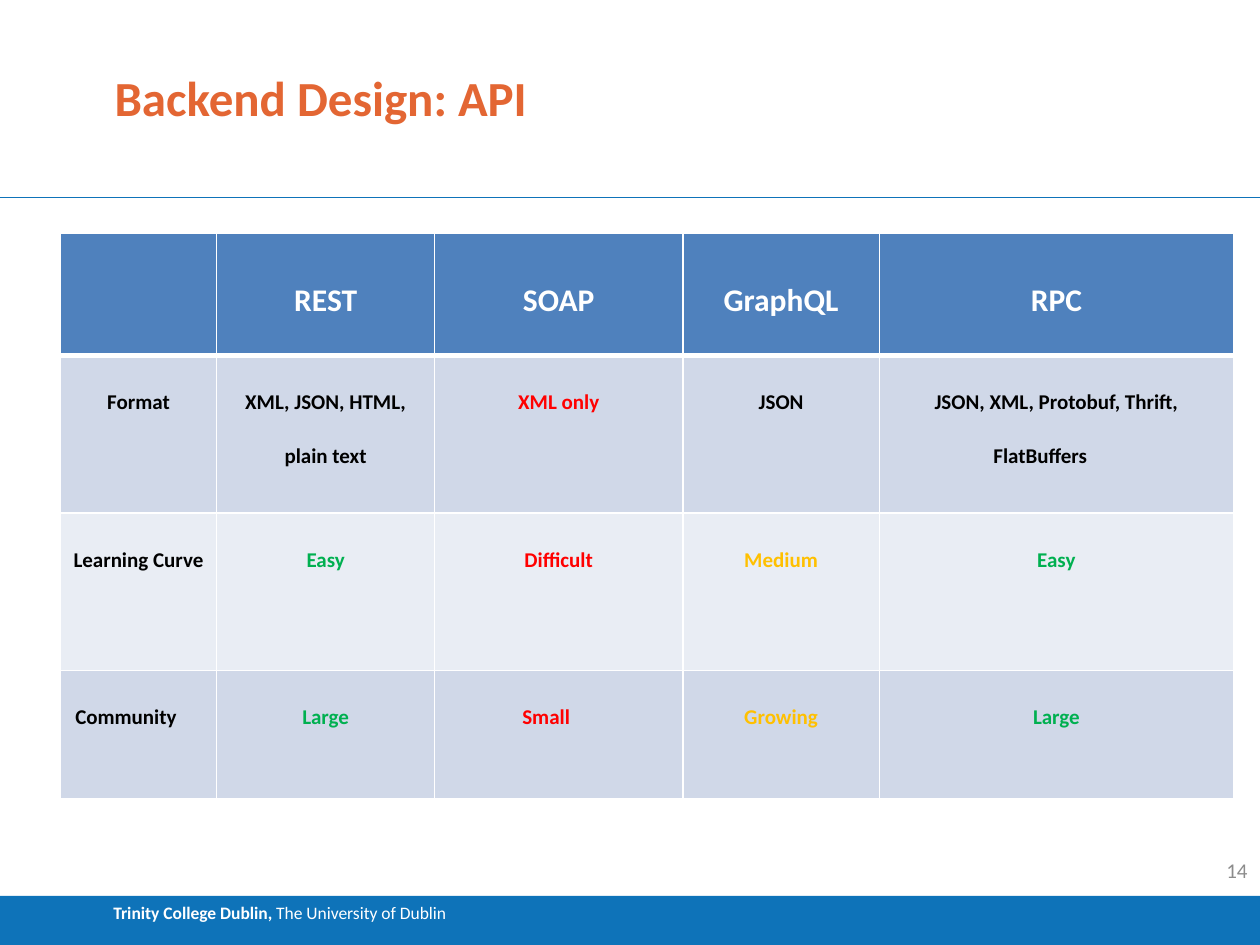
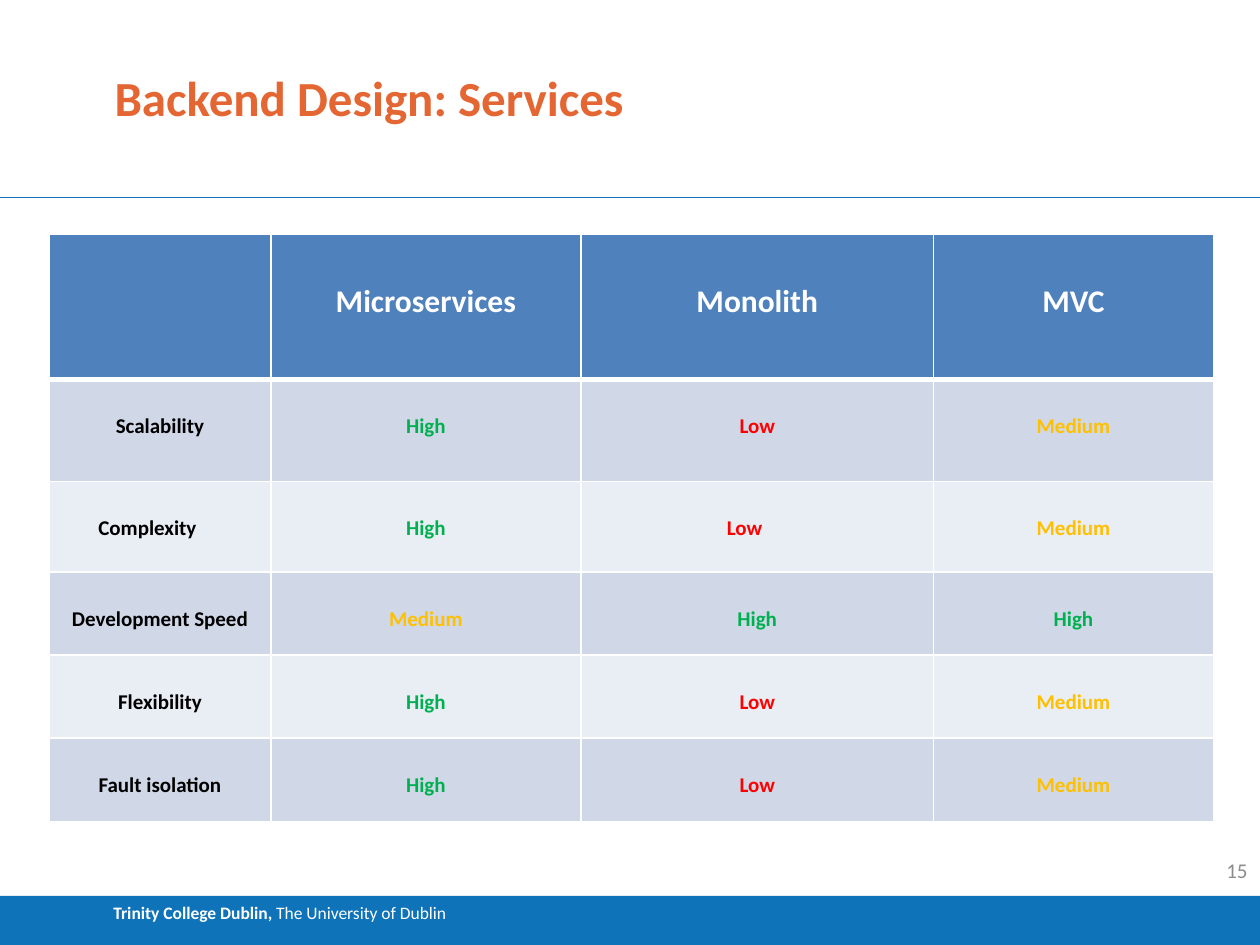
"""Builds two comparison slides on backend design."""
from collections import namedtuple
from dataclasses import dataclass

from lxml import etree
from pptx import Presentation
from pptx.dml.color import RGBColor
from pptx.enum.shapes import MSO_CONNECTOR, MSO_SHAPE
from pptx.enum.text import MSO_ANCHOR, PP_ALIGN
from pptx.oxml.ns import qn
from pptx.util import Inches, Pt

STRAIGHT = MSO_CONNECTOR.STRAIGHT
RECTANGLE = MSO_SHAPE.RECTANGLE
TOP, MIDDLE, BOTTOM = MSO_ANCHOR.TOP, MSO_ANCHOR.MIDDLE, MSO_ANCHOR.BOTTOM
LEFT, CENTER, RIGHT = PP_ALIGN.LEFT, PP_ALIGN.CENTER, PP_ALIGN.RIGHT

Box = namedtuple("Box", "left top width height")


@dataclass(frozen=True)
class Theme:
    """Colours, font, type sizes and line widths of the deck."""
    font: str = "Calibri"
    band: str = "0E73B9"
    title: str = "E36633"
    page: str = "8C8C8C"
    white: str = "FFFFFF"
    black: str = "000000"
    header: str = "4F81BD"
    stripes: tuple = ("D0D8E8", "E9EDF4")
    good: str = "00B050"
    fair: str = "FFC000"
    poor: str = "FF0000"
    title_size: int = 28
    header_size: int = 18
    body_size: int = 12
    footer_size: int = 10
    rule_width: float = 0.75
    grid_width: int = 1
    header_rule_width: int = 3
    row_spacing: float = 2.1


THEME = Theme()
SLIDE_WIDTH, SLIDE_HEIGHT = 10, 7.5
TITLE_BOX = Box(0.91, 0.39, 8.2, 0.61)
PAGE_BOX = Box(7.75, 6.71, 2.25, 0.4)
FOOTER_BOX = Box(0, 7.11, SLIDE_WIDTH, 0.39)
RULE_TOP = 1.57
FOOTER_INDENT = 0.9
NUDGE = 0.2
RATING_COLOURS = {
    **dict.fromkeys(("Easy", "Large", "High"), THEME.good),
    **dict.fromkeys(("Medium", "Growing"), THEME.fair),
    **dict.fromkeys(("XML only", "Difficult", "Small", "Low"), THEME.poor),
}

COMPARISONS = [
    dict(
        title="Backend Design: API",
        page=14,
        corner=(0.48, 1.85),
        columns=[1.24, 1.73, 1.97, 1.56, 2.81],
        heights=[0.97, 1.25, 1.25, 1.02],
        rows=[
            ["", "REST", "SOAP", "GraphQL", "RPC"],
            ["Format", "XML, JSON, HTML, plain text", "XML only", "JSON",
             "JSON, XML, Protobuf, Thrift, FlatBuffers\t"],
            ["Learning Curve", "Easy", "Difficult", "Medium", "Easy"],
            ["Community", "Large", "Small", "Growing", "Large"],
        ],
        nudged={(3, 0), (3, 2)},
    ),
    dict(
        title="Backend Design: Services",
        page=15,
        corner=(0.39, 1.86),
        columns=[1.76, 2.46, 2.8, 2.22],
        heights=[1.15, 0.81, 0.72, 0.66, 0.66, 0.66],
        rows=[
            ["", "Microservices", "Monolith", "MVC"],
            ["Scalability", "High", "Low", "Medium"],
            ["Complexity", "High", "Low", "Medium"],
            ["Development Speed", "Medium", "High", "High"],
            ["Flexibility", "High", "Low", "Medium"],
            ["Fault isolation", "High", "Low", "Medium"],
        ],
        nudged={(2, 0), (2, 2)},
    ),
]


def emu(box):
    """Return the lengths of a box given in inches."""
    return [Inches(length) for length in box]


def rgb(colour):
    """Return a colour object for a hex string."""
    return RGBColor.from_string(colour)


def style_run(run, size, colour, bold=False):
    """Set the type of one run."""
    run.font.name = THEME.font
    run.font.size = Pt(size)
    run.font.bold = bold
    run.font.color.rgb = rgb(colour)


def add_label(slide, box, text, size, colour, bold=False,
              align=LEFT, anchor=MIDDLE, inset=True):
    """Add a one-line text box."""
    frame = slide.shapes.add_textbox(*emu(box)).text_frame
    frame.word_wrap = True
    frame.vertical_anchor = anchor
    if not inset:
        frame.margin_left = frame.margin_right = 0
        frame.margin_top = frame.margin_bottom = 0
    frame.text = text
    paragraph = frame.paragraphs[0]
    paragraph.alignment = align
    style_run(paragraph.runs[0], size, colour, bold)


def add_footer(slide, box):
    """Add the coloured band with the university's name."""
    band = slide.shapes.add_shape(RECTANGLE, *emu(box))
    band.shadow.inherit = False
    band.fill.solid()
    band.fill.fore_color.rgb = rgb(THEME.band)
    band.line.fill.background()
    frame = band.text_frame
    frame.word_wrap = True
    frame.vertical_anchor = TOP
    frame.margin_left = Inches(FOOTER_INDENT)
    paragraph = frame.paragraphs[0]
    paragraph.alignment = LEFT
    for text, bold in (("Trinity College Dublin, ", True),
                       ("The University of Dublin", False)):
        run = paragraph.add_run()
        run.text = text
        style_run(run, THEME.footer_size, THEME.white, bold)


def add_rule(slide, top):
    """Add the thin line below the title."""
    rule = slide.shapes.add_connector(
        STRAIGHT, 0, Inches(top), Inches(SLIDE_WIDTH), Inches(top))
    rule.line.color.rgb = rgb(THEME.band)
    rule.line.width = Pt(THEME.rule_width)
    etree.SubElement(rule.element.spPr, qn("a:effectLst"))


def add_frame(slide, title, page):
    """Add the parts that every slide shares."""
    add_footer(slide, FOOTER_BOX)
    add_rule(slide, RULE_TOP)
    add_label(slide, TITLE_BOX, title, THEME.title_size, THEME.title,
              bold=True, anchor=BOTTOM, inset=False)
    add_label(slide, PAGE_BOX, str(page), THEME.body_size, THEME.page,
              align=RIGHT)


def set_borders(cell, top, bottom):
    """Draw white cell borders with the given top and bottom widths."""
    properties = cell._tc.get_or_add_tcPr()
    sides = {"L": THEME.grid_width, "R": THEME.grid_width,
             "T": top, "B": bottom}
    for side, width in sides.items():
        border = etree.SubElement(properties, qn(f"a:ln{side}"),
                                  w=str(Pt(width)))
        fill = etree.SubElement(border, qn("a:solidFill"))
        etree.SubElement(fill, qn("a:srgbClr"), val=THEME.white)


def fill_cell(cell, text, row, nudged):
    """Set the fill, borders and text of a cell in the given row."""
    is_header = row == 0
    set_borders(cell,
                THEME.header_rule_width if row == 1 else THEME.grid_width,
                THEME.header_rule_width if is_header else THEME.grid_width)
    cell.fill.solid()
    cell.fill.fore_color.rgb = rgb(
        THEME.header if is_header else THEME.stripes[(row - 1) % 2])
    if nudged:
        cell.margin_left, cell.margin_right = 0, Inches(NUDGE)
    cell.text_frame.text = text
    paragraph = cell.text_frame.paragraphs[0]
    paragraph.alignment = CENTER
    paragraph.line_spacing = THEME.row_spacing
    size = THEME.header_size if is_header else THEME.body_size
    colour = (THEME.white if is_header
              else RATING_COLOURS.get(text, THEME.black))
    for run in paragraph.runs:
        style_run(run, size, colour, bold=True)


def add_comparison(slide, box, columns, heights, rows, nudged):
    """Add a table that rates options by criterion."""
    table = slide.shapes.add_table(len(rows), len(columns), *emu(box)).table
    for column, width in zip(table.columns, columns):
        column.width = Inches(width)
    for table_row, height in zip(table.rows, heights):
        table_row.height = Inches(height)
    for row, texts in enumerate(rows):
        for column, text in enumerate(texts):
            fill_cell(table.cell(row, column), text, row,
                      (row, column) in nudged)


def build_slide(deck, title, page, corner, columns, heights, rows, nudged):
    """Add one comparison slide."""
    slide = deck.slides.add_slide(deck.slide_layouts[6])
    add_frame(slide, title, page)
    box = Box(*corner, sum(columns), sum(heights))
    add_comparison(slide, box, columns, heights, rows, nudged)


def main():
    """Build and save the deck."""
    deck = Presentation()
    deck.slide_width = Inches(SLIDE_WIDTH)
    deck.slide_height = Inches(SLIDE_HEIGHT)
    for comparison in COMPARISONS:
        build_slide(deck, **comparison)
    deck.save("out.pptx")


if __name__ == "__main__":
    main()
